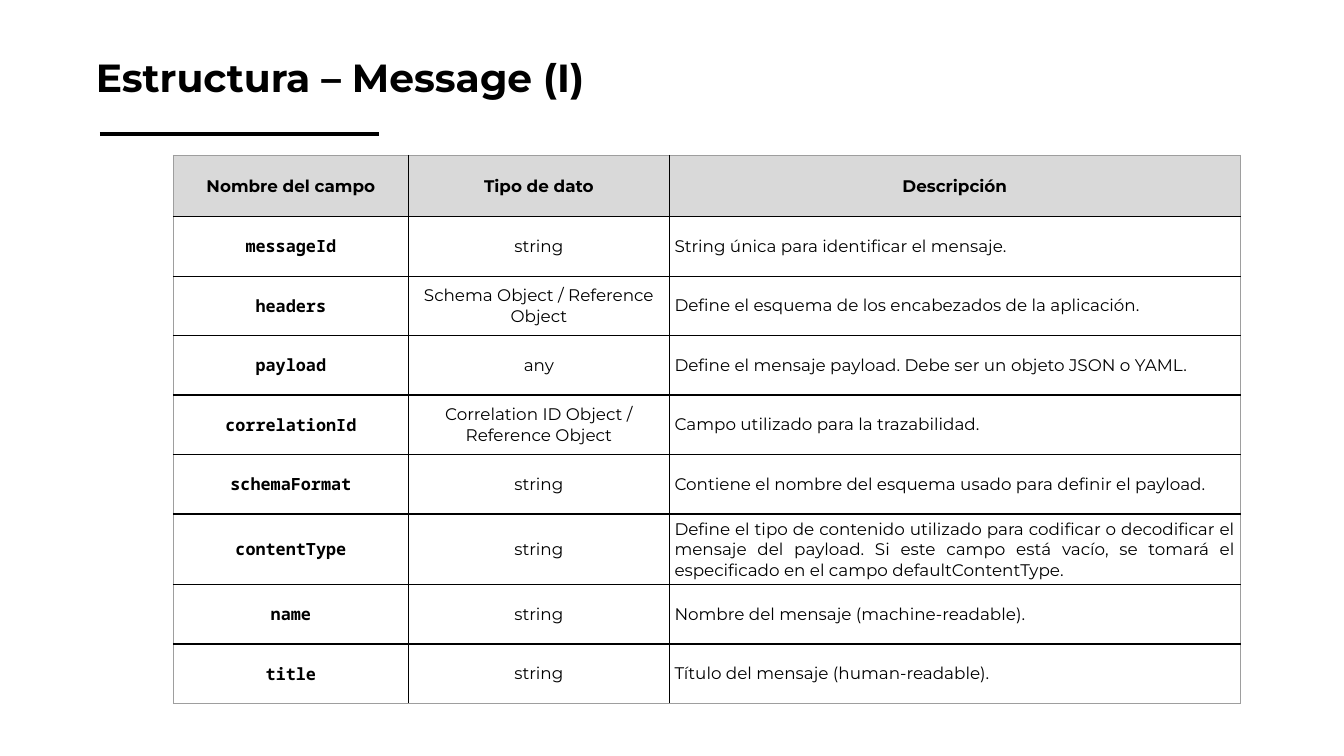
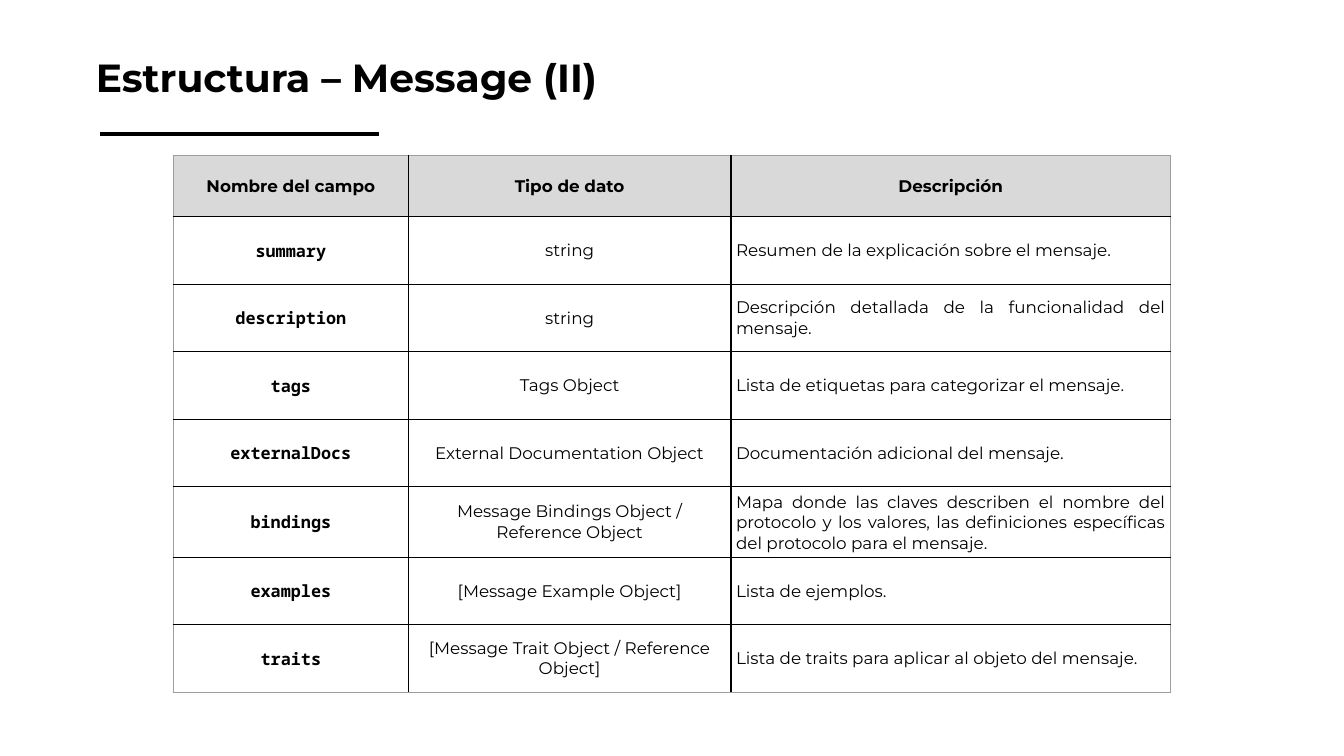
from dataclasses import dataclass

from pptx import Presentation, util as u
from pptx.dml.color import RGBColor
from pptx.enum import shapes, text
from pptx.oxml import ns
from lxml import etree

HUES = {"ink": "000000", "head": "D9D9D9", "edge": "9E9E9E"}
SANS, MONO = "Montserrat", "Noto Sans Mono"
MID, JUST = text.PP_ALIGN.CENTER, text.PP_ALIGN.JUSTIFY
HEADS = ("Nombre del campo", "Tipo de dato", "Descripción")
HEAD_H = 0.61
PAD = 0.05


@dataclass
class Page:
    """One slide: its title, table sizes in inches, and body rows."""
    title: str
    cols: tuple[float, ...]
    row_h: float
    rows: list[tuple[str, str, str]]


PAGES = [
    Page("Estructura – Message (I)", (2.33, 2.59, 5.66), 0.59, [
        ("messageId", "string", "String única para identificar el mensaje."),
        ("headers", "Schema Object / Reference Object",
         "Define el esquema de los encabezados de la aplicación."),
        ("payload", "any",
         "Define el mensaje payload. Debe ser un objeto JSON o YAML."),
        ("correlationId", "Correlation ID Object / Reference Object",
         "Campo utilizado para la trazabilidad."),
        ("schemaFormat", "string",
         "Contiene el nombre del esquema usado para definir el payload."),
        ("contentType", "string",
         "Define el tipo de contenido utilizado para codificar o decodificar "
         "el mensaje del payload. Si este campo está vacío, se tomará el "
         "especificado en el campo defaultContentType."),
        ("name", "string", "Nombre del mensaje (machine-readable)."),
        ("title", "string", "Título del mensaje (human-readable)."),
    ]),
    Page("Estructura – Message (II)", (2.33, 3.2, 4.36), 0.67, [
        ("summary", "string", "Resumen de la explicación sobre el mensaje."),
        ("description", "string",
         "Descripción detallada de la funcionalidad del mensaje."),
        ("tags", "Tags Object",
         "Lista de etiquetas para categorizar el mensaje."),
        ("externalDocs", "External Documentation Object",
         "Documentación adicional del mensaje."),
        ("bindings", "Message Bindings Object / Reference Object",
         "Mapa donde las claves describen el nombre del protocolo y los "
         "valores, las definiciones específicas del protocolo para el "
         "mensaje."),
        ("examples", "[Message Example Object]", "Lista de ejemplos."),
        ("traits", "[Message Trait Object / Reference Object]",
         "Lista de traits para aplicar al objeto del mensaje."),
    ]),
]


def color(name: str) -> RGBColor:
    """Look up a named colour."""
    return RGBColor.from_string(HUES[name])


def write(frame, words: str, *, size: float = 12, font: str = SANS,
          bold: bool = False, align=None, space: float | None = None) -> None:
    """Put one formatted paragraph in a text frame."""
    para = frame.paragraphs[0]
    para.alignment = align
    para.line_spacing = space
    run = para.add_run()
    run.text = words
    run.font.size = u.Pt(size)
    run.font.name = font
    run.font.bold = bold
    run.font.color.rgb = color("ink")


def inset(box, pad: float) -> None:
    """Set equal margins on a cell or text frame."""
    box.margin_left = box.margin_right = u.Inches(pad)
    box.margin_top = box.margin_bottom = u.Inches(pad)


def border(cell, outer: dict[str, bool]) -> None:
    """Draw cell sides: black inside the table, thin grey on its rim."""
    props = cell._tc.get_or_add_tcPr()
    for pos, (side, rim) in enumerate(outer.items()):
        line = etree.Element(ns.qn(f"a:ln{side}"),
                             w=str(u.Pt(0.75 if rim else 1)))
        fill = etree.SubElement(line, ns.qn("a:solidFill"))
        etree.SubElement(fill, ns.qn("a:srgbClr"),
                         val=HUES["edge" if rim else "ink"])
        props.insert(pos, line)


def add_head(slide, words: str) -> None:
    """Add the title and the rule below it."""
    rule = slide.shapes.add_connector(
        shapes.MSO_CONNECTOR.STRAIGHT, u.Inches(0.99), u.Inches(1.33),
        u.Inches(3.76), u.Inches(1.33))
    rule.line.color.rgb = color("ink")
    rule.line.width = u.Pt(3)
    etree.SubElement(rule._element.spPr, ns.qn("a:effectLst"))

    frame = slide.shapes.add_textbox(
        u.Inches(0.82), u.Inches(0.32), u.Inches(8.75),
        u.Inches(0.81)).text_frame
    frame.word_wrap = True
    frame.auto_size = text.MSO_AUTO_SIZE.SHAPE_TO_FIT_TEXT
    frame.vertical_anchor = text.MSO_ANCHOR.MIDDLE
    inset(frame, 0.13)
    write(frame, words, size=28, bold=True, space=1.15)


def add_grid(slide, page: Page) -> None:
    """Add the table of fields."""
    rows = [HEADS, *page.rows]
    highs = [HEAD_H] + [page.row_h] * len(page.rows)
    grid = slide.shapes.add_table(
        len(rows), len(HEADS), u.Inches(1.72), u.Inches(1.54),
        u.Inches(sum(page.cols)), u.Inches(sum(highs))).table
    grid.horz_banding = grid.first_row = False
    for col, wide in zip(grid.columns, page.cols):
        col.width = u.Inches(wide)
    for row, high in zip(grid.rows, highs):
        row.height = u.Inches(high)

    for r, row in enumerate(rows):
        for c, words in enumerate(row):
            cell, top = grid.cell(r, c), r == 0
            cell.vertical_anchor = text.MSO_ANCHOR.MIDDLE
            inset(cell, PAD)
            if top:
                cell.fill.solid()
                cell.fill.fore_color.rgb = color("head")
            else:
                cell.fill.background()
            border(cell, {"L": c == 0, "R": c == len(HEADS) - 1,
                          "T": top, "B": r == len(rows) - 1})
            write(cell.text_frame, words, bold=top or c == 0,
                  font=MONO if c == 0 and not top else SANS,
                  align=JUST if c == 2 and not top else MID)


def main() -> None:
    """Build and save the deck."""
    deck = Presentation()
    deck.slide_width, deck.slide_height = u.Inches(13.33), u.Inches(7.5)
    for page in PAGES:
        slide = deck.slides.add_slide(deck.slide_layouts[6])
        add_head(slide, page.title)
        add_grid(slide, page)
    deck.save("out.pptx")


main()
